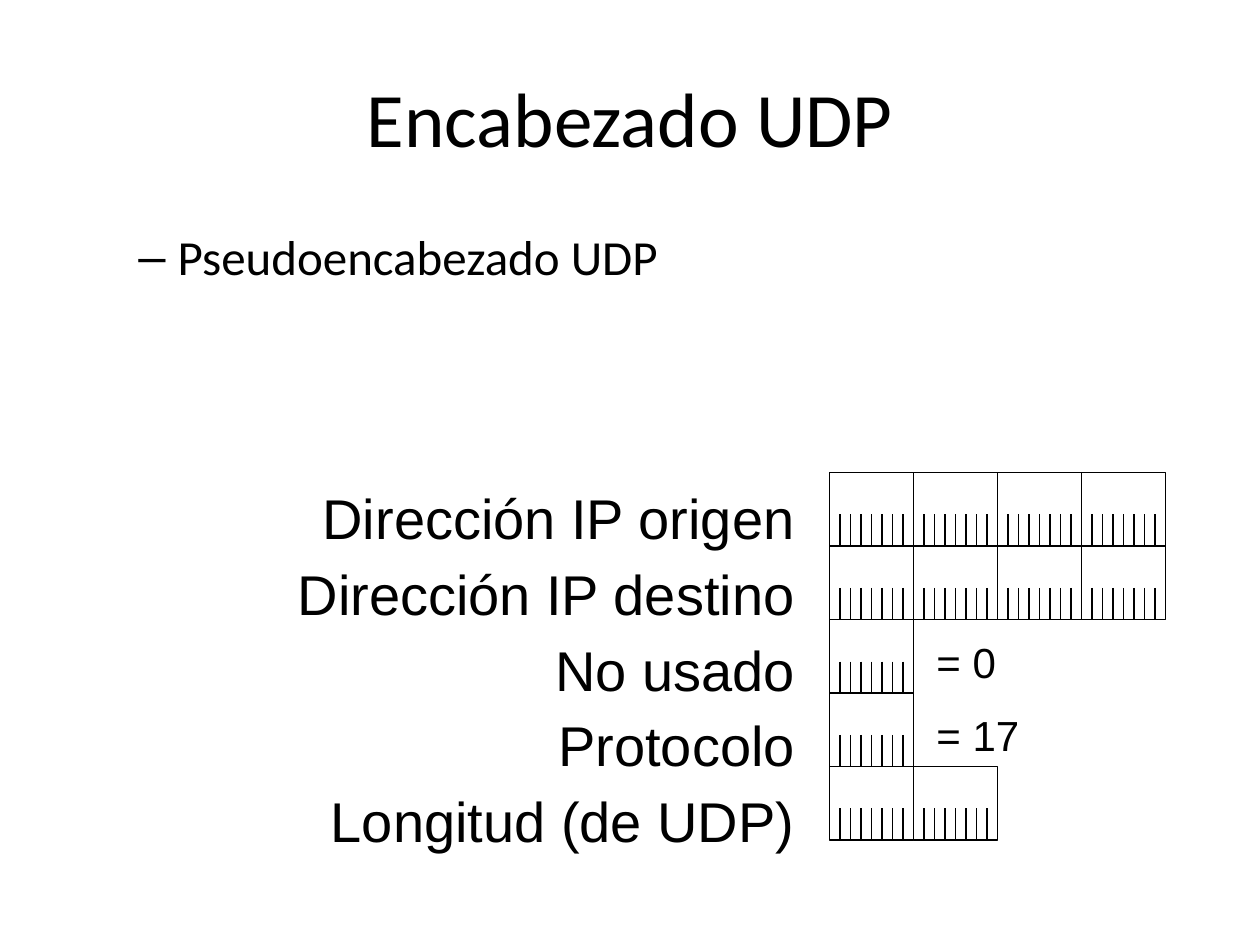
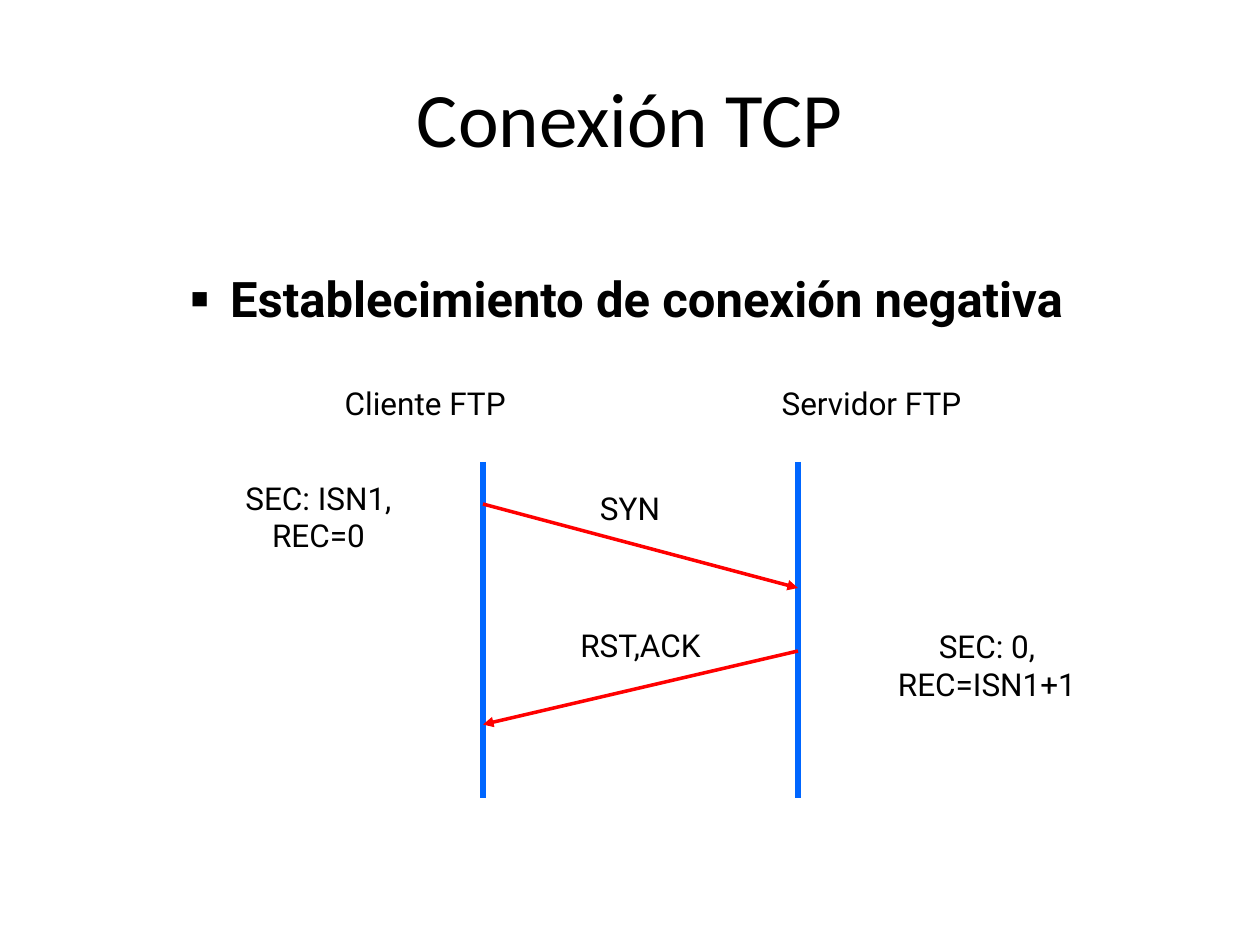
from lxml import etree
from pptx import Presentation
from pptx.dml.color import RGBColor
from pptx.enum.shapes import MSO_CONNECTOR, MSO_SHAPE
from pptx.enum.text import MSO_ANCHOR, PP_ALIGN
from pptx.oxml.ns import qn
from pptx.util import Pt

COLORS = {"ink": "000000", "paper": "FFFFFF", "timeline": "0066FF", "message": "FF0000"}
TITLE_FONT, FIELD_FONT, FLOW_FONT = "Calibri", "Arial", "Roboto"

# Header diagram: one box per octet, one tick per bit
OCTET_WIDTH, OCTET_HEIGHT = 48, 42
BITS = 8
TICK_TOP = 24
HEADER_LEFT, HEADER_TOP = 474, 270
# Field name, octets, fixed value
FIELDS = [
    ("Dirección IP origen", 4, None),
    ("Dirección IP destino", 4, None),
    ("No usado", 1, "= 0"),
    ("Protocolo", 1, "= 17"),
    ("Longitud (de UDP)", 2, None),
]

CLIENT_X, SERVER_X = 276, 456
FLOW_TOP, FLOW_BOTTOM = 264, 456


def rgb(name):
    return RGBColor.from_string(COLORS[name])


def add_bullet(paragraph, char, size_pct):
    """Give the paragraph a hanging bullet at the second outline level."""
    props = paragraph._p.get_or_add_pPr()
    props.set("marL", str(Pt(58.5)))
    props.set("indent", str(Pt(-22.5)))
    color = etree.SubElement(props, qn("a:buClr"))
    etree.SubElement(color, qn("a:srgbClr"), val=COLORS["ink"])
    etree.SubElement(props, qn("a:buSzPct"), val=str(size_pct * 1000))
    etree.SubElement(props, qn("a:buFont"), typeface="Arial")
    etree.SubElement(props, qn("a:buChar"), char=char)


def add_text(slide, box, lines, font, size, align=PP_ALIGN.LEFT, anchor=MSO_ANCHOR.TOP,
             bold=False, gap=0, bullet=None, wrap=True):
    """Write one paragraph per line; gap is the space between paragraphs."""
    frame = slide.shapes.add_textbox(*map(Pt, box)).text_frame
    frame.word_wrap = wrap
    frame.vertical_anchor = anchor
    for index, line in enumerate(lines):
        paragraph = frame.add_paragraph() if index else frame.paragraphs[0]
        paragraph.text = line
        paragraph.alignment = align
        if index:
            paragraph.space_before = Pt(gap)
        if bullet:
            add_bullet(paragraph, *bullet)
        paragraph.font.name = font
        paragraph.font.size = Pt(size)
        paragraph.font.bold = bold
        paragraph.font.color.rgb = rgb("ink")


def add_title(slide, title):
    add_text(slide, (36, 21.6, 648, 90), [title], TITLE_FONT, 44,
             PP_ALIGN.CENTER, MSO_ANCHOR.MIDDLE)


def add_line(shapes, start, end, color, width, arrow=False):
    line = shapes.add_connector(MSO_CONNECTOR.STRAIGHT, *map(Pt, start + end))
    line.line.color.rgb = rgb(color)
    line.line.width = Pt(width)
    if arrow:
        etree.SubElement(line.line._get_or_add_ln(), qn("a:tailEnd"), type="triangle")
    etree.SubElement(line._element.spPr, qn("a:effectLst"))


def add_octet(slide, left, top, closed):
    """Draw an octet with its bit ticks; closed adds the tick on the right edge."""
    shapes = slide.shapes.add_group_shape().shapes
    octet = shapes.add_shape(MSO_SHAPE.RECTANGLE, Pt(left), Pt(top),
                             Pt(OCTET_WIDTH), Pt(OCTET_HEIGHT))
    octet.shadow.inherit = False
    octet.fill.solid()
    octet.fill.fore_color.rgb = rgb("paper")
    octet.line.color.rgb = rgb("ink")
    octet.line.width = Pt(0.75)
    for bit in range(BITS + closed):
        x = left + bit * OCTET_WIDTH / BITS
        add_line(shapes, (x, top + TICK_TOP), (x, top + OCTET_HEIGHT), "ink", 0.75)


def add_flow_label(slide, left, top, width, text, height=28.8):
    add_text(slide, (left, top, width, height), [text], FLOW_FONT, 18, PP_ALIGN.CENTER)


def build_udp_header(slide):
    add_title(slide, "Encabezado UDP")
    add_text(slide, (36, 126, 648, 356.4), ["Pseudoencabezado UDP"], TITLE_FONT, 28,
             bullet=("–", 100))
    for row, (_, octets, value) in enumerate(FIELDS):
        top = HEADER_TOP + row * OCTET_HEIGHT
        for column in range(octets):
            add_octet(slide, HEADER_LEFT + column * OCTET_WIDTH, top, column == octets - 1)
        if value:
            add_text(slide, (528, top + 6, 62, 36), [value], FIELD_FONT, 24, wrap=False)
    add_text(slide, (30, 273, 431.5, 214.5), [name for name, _, _ in FIELDS],
             FIELD_FONT, 32, PP_ALIGN.RIGHT, gap=4.8)


def build_tcp_refusal(slide):
    add_title(slide, "Conexión TCP")
    add_text(slide, (66, 150, 612, 324), ["Establecimiento de conexión negativa"],
             FLOW_FONT, 28, bold=True, bullet=("■", 60))
    for x in (CLIENT_X, SERVER_X):
        add_line(slide.shapes, (x, FLOW_TOP), (x, FLOW_BOTTOM), "timeline", 3)
    add_line(slide.shapes, (CLIENT_X, 288), (SERVER_X, 336), "message", 2, arrow=True)
    add_line(slide.shapes, (SERVER_X, 372), (CLIENT_X, 414), "message", 2, arrow=True)
    add_flow_label(slide, 180, 216, 126, "Cliente FTP")
    add_flow_label(slide, 438, 216, 120, "Servidor FTP")
    add_flow_label(slide, 288, 276, 144, "SYN")
    add_flow_label(slide, 294, 354, 144, "RST,ACK")
    add_flow_label(slide, 110, 270, 144, "SEC: ISN1, REC=0", 50.4)
    add_flow_label(slide, 486, 355, 156, "SEC: 0, REC=ISN1+1", 50.4)


def main():
    deck = Presentation()
    deck.slide_width, deck.slide_height = Pt(720), Pt(540)
    blank = deck.slide_layouts[6]
    for build in (build_udp_header, build_tcp_refusal):
        build(deck.slides.add_slide(blank))
    deck.save("out.pptx")


if __name__ == "__main__":
    main()
